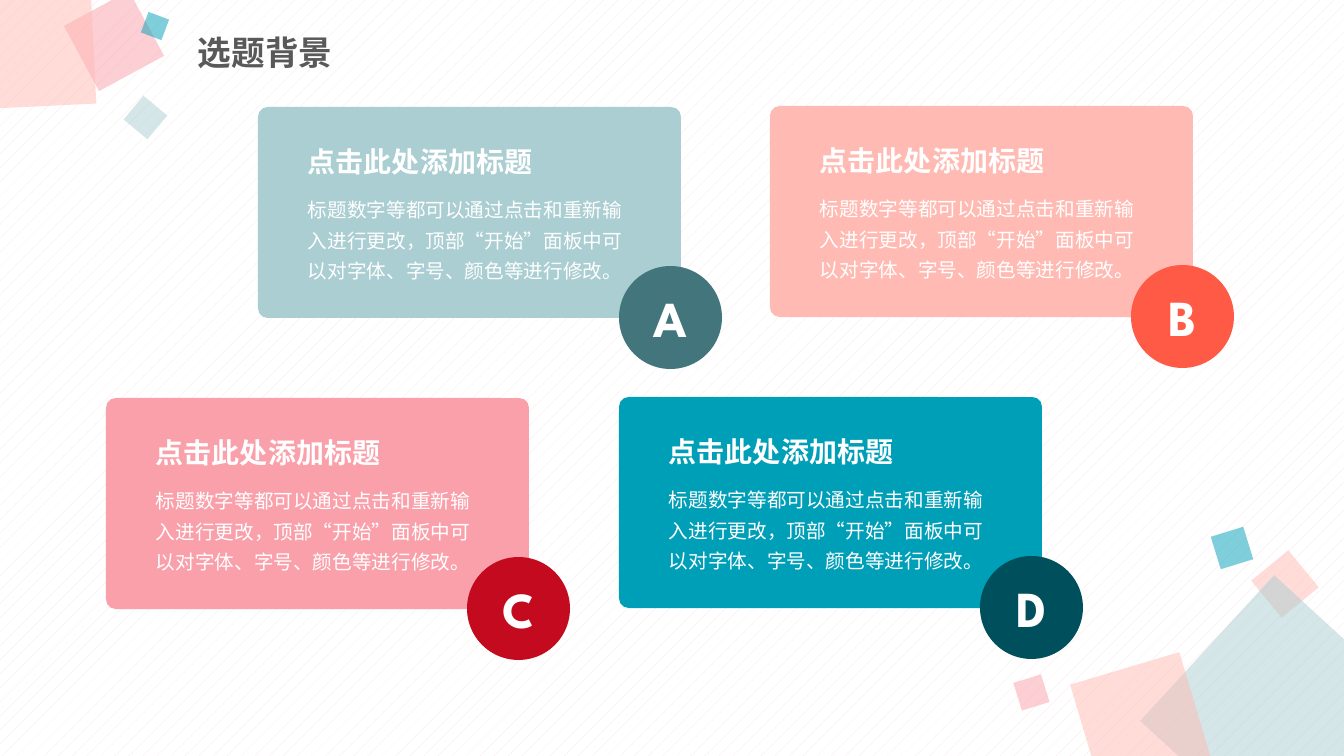
from lxml.etree import SubElement
from pptx import Presentation
from pptx.dml.color import RGBColor
from pptx.enum.dml import MSO_PATTERN_TYPE as Pattern
from pptx.enum.shapes import MSO_SHAPE as Preset
from pptx.enum.text import MSO_ANCHOR as Anchor, MSO_AUTO_SIZE as AutoSize, PP_ALIGN as Align
from pptx.oxml.ns import qn
from pptx.util import Pt

EMU_PER_PIXEL = 914400 / 100.8

WHITE = RGBColor(0xFF, 0xFF, 0xFF)
BLUSH = RGBColor(0xF5, 0xE5, 0xE4)
GREY = RGBColor(0x59, 0x59, 0x59)
MIST = RGBColor(0xAA, 0xCE, 0xD2)
PEACH = RGBColor(0xFF, 0xBB, 0xB3)
PINK = RGBColor(0xFA, 0xA0, 0xAA)
TEAL = RGBColor(0x00, 0x9F, 0xB8)
SLATE = RGBColor(0x42, 0x76, 0x7C)
CORAL = RGBColor(0xFF, 0x5A, 0x46)
CRIMSON = RGBColor(0xC3, 0x0A, 0x1F)
DEEP_TEAL = RGBColor(0x00, 0x4F, 0x5C)

CJK_FONT = "Noto Sans CJK SC"
DISPLAY_FONT = "League Spartan"

TITLE = "选题背景"
HEADING = "点击此处添加标题"
BODY = "标题数字等都可以通过点击和重新输入进行更改，顶部“开始”面板中可以对字体、字号、颜色等进行修改。"

CONFETTI = [
    (1261, 560, 48, 320.6, PEACH),
    (1181, 616, 198, 42.6, MIST),
    (1084, 666, 114, 343.4, PEACH),
    (1017, 678, 29, 342.8, PINK),
    (1215, 531, 34, 342.8, TEAL),
    (77, 4, 74, 331.6, PINK),
    (-46, -32, 139, 357.2, PEACH),
    (130, 102, 31, 309.8, MIST),
    (144, 15, 22, 290.5, TEAL),
]
CARDS = [
    ("A", 258, 107, MIST, SLATE),
    ("B", 770, 106, PEACH, CORAL),
    ("C", 106, 398, PINK, CRIMSON),
    ("D", 619, 397, TEAL, DEEP_TEAL),
]


def px(*lengths):
    """Turn pixel lengths into EMU."""
    return [round(length * EMU_PER_PIXEL) for length in lengths]


def write(frame, text, size, font=CJK_FONT, color=WHITE, bold=False, align=Align.LEFT,
          anchor=Anchor.TOP, spacing=1.0, before=0, wrap=True, auto_size=AutoSize.NONE):
    """Fill a text frame with one formatted paragraph."""
    frame.word_wrap = wrap
    frame.auto_size = auto_size
    frame.vertical_anchor = anchor
    paragraph = frame.paragraphs[0]
    paragraph.alignment = align
    paragraph.line_spacing = spacing
    paragraph.space_before = Pt(before)
    run = paragraph.add_run()
    run.text = text
    run.font.size = Pt(size)
    run.font.bold = bold
    run.font.color.rgb = color
    run.font.name = font
    properties = run.font._element
    properties.set("lang", "zh-CN")
    SubElement(properties, qn("a:ea"), typeface=CJK_FONT)


def add_text(slide, box, text, **style):
    """Add a text box at a pixel box."""
    write(slide.shapes.add_textbox(*px(*box)).text_frame, text, **style)


def add_solid(slide, preset, box, color):
    """Add a flat preset shape without outline."""
    solid = slide.shapes.add_shape(preset, *px(*box))
    solid.shadow.inherit = False
    solid.fill.solid()
    solid.fill.fore_color.rgb = color
    solid.line.fill.background()
    return solid


def add_confetti(slide, left, top, side, angle, color):
    """Add a rotated, half-transparent square."""
    square = add_solid(slide, Preset.RECTANGLE, (left, top, side, side), color)
    square.rotation = angle
    tint = square.fill._xPr.find(".//" + qn("a:srgbClr"))
    SubElement(tint, qn("a:alpha"), val="50000")


def add_card(slide, letter, left, top, color, badge_color):
    """Add a rounded card with its lettered badge, body and heading."""
    panel = add_solid(slide, Preset.ROUNDED_RECTANGLE, (left, top, 423, 211), color)
    panel.adjustments[0] = 0.046
    badge = add_solid(slide, Preset.OVAL, (left + 361, top + 159, 103, 103), badge_color)
    write(badge.text_frame, letter, size=36, font=DISPLAY_FONT, bold=True,
          align=Align.CENTER, anchor=Anchor.MIDDLE)
    add_text(slide, (left + 40, top + 79, 350, 103), BODY, size=14, spacing=1.3,
             auto_size=AutoSize.SHAPE_TO_FIT_TEXT)
    add_text(slide, (left + 40, top + 22, 247, 54), HEADING, size=20, font=DISPLAY_FONT,
             bold=True, spacing=1.3, wrap=False, auto_size=AutoSize.SHAPE_TO_FIT_TEXT)


def main():
    """Build and save the slide."""
    deck = Presentation()
    deck.slide_width, deck.slide_height = px(1344, 756)
    slide = deck.slides.add_slide(deck.slide_layouts[6])
    backdrop = slide.background.fill
    backdrop.patterned()
    backdrop.pattern = Pattern.PERCENT_5
    backdrop.fore_color.rgb = BLUSH
    backdrop.back_color.rgb = WHITE
    for square in CONFETTI:
        add_confetti(slide, *square)
    add_text(slide, (188, 26, 618, 58), TITLE, size=24, color=GREY, bold=True,
             anchor=Anchor.MIDDLE, spacing=0.9, before=10)
    for card in CARDS:
        add_card(slide, *card)
    deck.save("out.pptx")


main()
